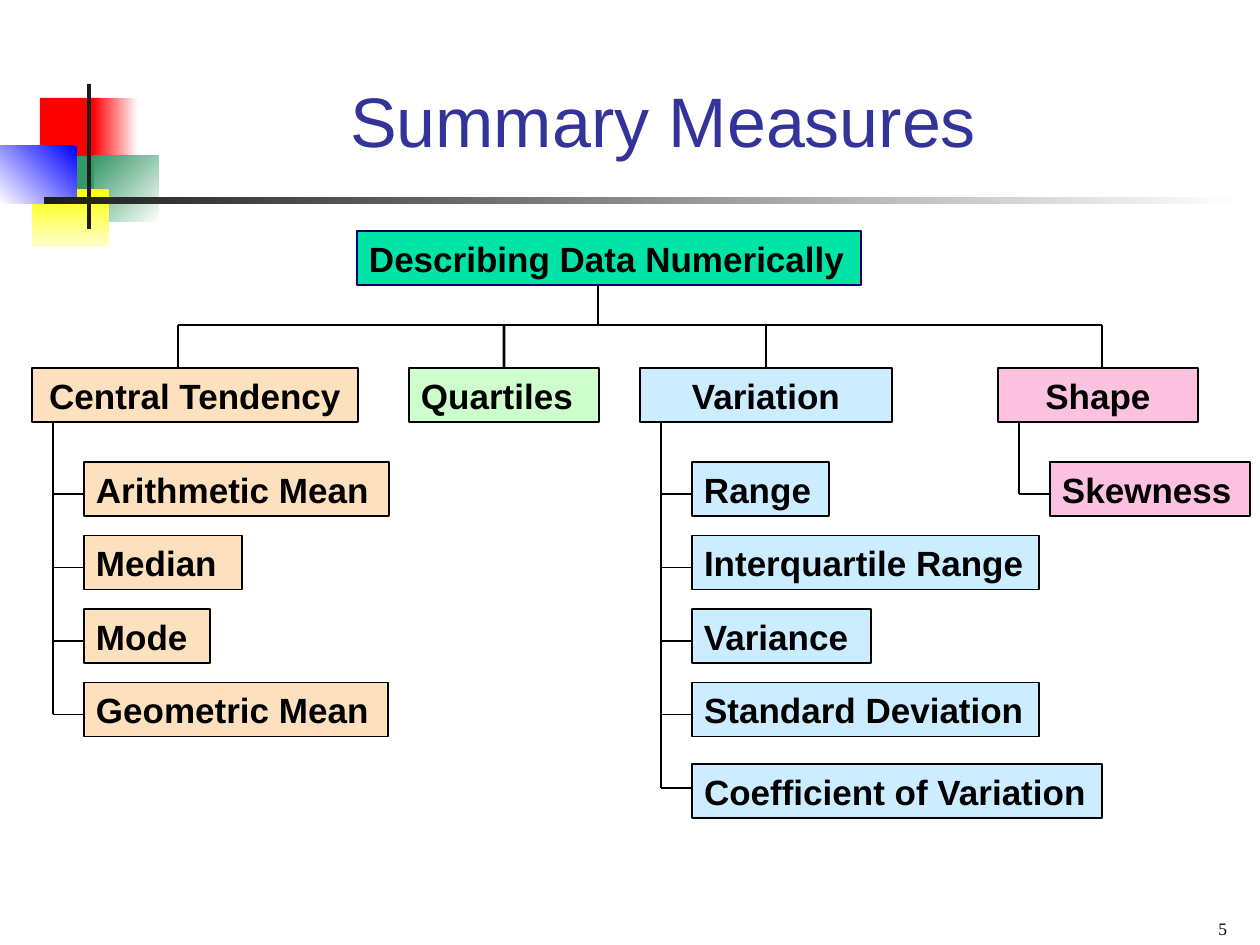
import dataclasses

import pptx
import pptx.dml.color
import pptx.enum.shapes
import pptx.enum.text
import pptx.oxml.ns
import pptx.util
from lxml import etree

ALIGN = pptx.enum.text.PP_ALIGN
ANCHOR = pptx.enum.text.MSO_ANCHOR
TOP_SIDE = 0


def px(length):
    return pptx.util.Emu(round(length * 914400 / 126))


def rgb(code):
    return pptx.dml.color.RGBColor.from_string(code)


@dataclasses.dataclass(frozen=True)
class Theme:
    sans: str = "Arial"
    serif: str = "Times New Roman"
    title_size: int = 40
    box_size: int = 20
    number_size: int = 10
    title: str = "333399"
    ink: str = "000000"
    white: str = "FFFFFF"
    charcoal: str = "1C1C1C"
    red: str = "FF0000"
    green: str = "339966"
    yellow: str = "FFFF00"
    pale_yellow: str = "FFFFCC"
    blue: str = "0000FF"
    root: str = "00E4A8"
    root_edge: str = "000066"
    tendency: str = "FDE0BD"
    quartiles: str = "CCFFCC"
    variation: str = "CCECFF"
    shape: str = "FCC2E0"


class Board:
    def __init__(self, slide, theme):
        self.slide = slide
        self.theme = theme

    def set_text(self, frame, text, size, color, font, align, anchor, bold=False):
        frame.word_wrap = True
        frame.auto_size = pptx.enum.text.MSO_AUTO_SIZE.NONE
        frame.vertical_anchor = anchor
        frame.margin_left = frame.margin_right = px(12)
        frame.margin_top = frame.margin_bottom = px(6)
        paragraph = frame.paragraphs[0]
        paragraph.text = text
        paragraph.alignment = align
        paragraph.font.size = pptx.util.Pt(size)
        paragraph.font.name = font
        paragraph.font.bold = bold
        paragraph.font.color.rgb = rgb(color)
        return paragraph

    def title(self, text, *place):
        holder = self.slide.shapes.title
        holder.left, holder.top, holder.width, holder.height = map(px, place)
        paragraph = self.set_text(holder.text_frame, text, self.theme.title_size,
                                  self.theme.title, self.theme.sans, ALIGN.CENTER,
                                  ANCHOR.BOTTOM)
        paragraph.line_spacing = 1.1

    def rectangle(self, *place):
        block = self.slide.shapes.add_shape(
            pptx.enum.shapes.MSO_SHAPE.RECTANGLE, *map(px, place))
        block.shadow.inherit = False
        return block

    def solid(self, color, *place):
        block = self.rectangle(*place)
        block.fill.solid()
        block.fill.fore_color.rgb = rgb(color)
        block.line.fill.background()
        return block

    def fade(self, start, end, angle, *place):
        """Gradient block; the angle runs counter-clockwise from left to right."""
        block = self.rectangle(*place)
        block.fill.gradient()
        block.fill.gradient_angle = angle
        for stop, color in zip(block.fill.gradient_stops, (start, end)):
            stop.color.rgb = rgb(color)
        block.line.fill.background()

    def box(self, text, fill, *place, edge=None, align=ALIGN.LEFT):
        block = self.solid(fill, *place)
        block.line.color.rgb = rgb(edge or self.theme.ink)
        block.line.width = pptx.util.Pt(1)
        self.set_text(block.text_frame, text, self.theme.box_size, self.theme.ink,
                      self.theme.sans, align, ANCHOR.TOP, bold=True)
        return block

    def line(self, x1, y1, x2, y2, weight):
        link = self.slide.shapes.add_connector(
            pptx.enum.shapes.MSO_CONNECTOR.STRAIGHT, px(x1), px(y1), px(x2), px(y2))
        link.line.color.rgb = rgb(self.theme.ink)
        link.line.width = pptx.util.Pt(weight)
        etree.SubElement(link._element.spPr, pptx.oxml.ns.qn("a:effectLst"))
        return link

    def page_number(self, text, *place):
        label = self.slide.shapes.add_textbox(*map(px, place))
        self.set_text(label.text_frame, text, self.theme.number_size, self.theme.ink,
                      self.theme.serif, ALIGN.RIGHT, ANCHOR.BOTTOM)


@dataclasses.dataclass
class Branch:
    name: str
    fill: str
    left: int
    width: int
    drop: int  # x of the line coming down to the heading
    measures: tuple = ()  # label and box width
    align: int = ALIGN.CENTER


BOX_HEIGHT = 54
RAIL_Y, HEADING_Y = 325, 368
TRUNK_INDENT, MEASURE_INDENT = 21, 52
FIRST_TWIG, TWIG_PITCH, TWIG_DEPTH = 494, 73.5, 32
THICK, THIN = 1.5, 0.75


def draw_ornament(board):
    t = board.theme
    board.solid(t.red, 40, 98, 60, 66)
    board.fade(t.white, t.red, 180, 93, 98, 45, 66)
    board.fade(t.white, t.green, 135, 94, 156, 65, 66)
    board.solid(t.green, 54, 156, 40, 66)
    board.fade(t.yellow, t.pale_yellow, 270, 32, 189, 77, 58)
    board.fade(t.blue, t.white, 225, 0, 146, 77, 58)
    board.solid(t.charcoal, 87, 84, 4, 145)
    board.fade(t.white, t.charcoal, 180, 44, 197, 1198, 7)


def draw_branch(board, branch):
    # Trunk, twigs and measures
    trunk = branch.left + TRUNK_INDENT
    measure_left = branch.left + MEASURE_INDENT
    twigs = [FIRST_TWIG + row * TWIG_PITCH for row in range(len(branch.measures))]
    if twigs:
        board.line(trunk, HEADING_Y + BOX_HEIGHT, trunk, twigs[-1], THIN)
    for row, (y, (label, width)) in enumerate(zip(twigs, branch.measures)):
        board.line(trunk, y, measure_left, y, THIN)
        depth = TWIG_DEPTH if row < 4 else 24  # the fifth box sits a little lower
        board.box(label, branch.fill, measure_left, y - depth, width, BOX_HEIGHT)

    # Heading and its line from the rail
    heading = board.box(branch.name, branch.fill, branch.left, HEADING_Y,
                        branch.width, BOX_HEIGHT, align=branch.align)
    drop = board.line(branch.drop, RAIL_Y, branch.drop, HEADING_Y, THICK)
    if branch.drop == branch.left + branch.width / 2:
        drop.end_connect(heading, TOP_SIDE)


def main():
    deck = pptx.Presentation()
    deck.slide_width, deck.slide_height = px(1260), px(945)
    theme = Theme()
    board = Board(deck.slides.add_slide(deck.slide_layouts[5]), theme)

    draw_ornament(board)
    board.title("Summary Measures", 126, 32, 1074, 136)

    # Root and rail
    branches = [
        Branch("Central Tendency", theme.tendency, 32, 326, 178,
               (("Arithmetic Mean", 305), ("Median", 158), ("Mode", 126),
                ("Geometric Mean", 304))),
        Branch("Quartiles", theme.quartiles, 409, 190, 504, align=ALIGN.LEFT),
        Branch("Variation", theme.variation, 640, 252, 766,
               (("Range", 137), ("Interquartile Range", 347), ("Variance", 179),
                ("Standard Deviation", 347), ("Coefficient of Variation", 410))),
        Branch("Shape", theme.shape, 998, 200, 1102, (("Skewness", 200),)),
    ]
    board.box("Describing Data Numerically", theme.root, 357, 231, 504, BOX_HEIGHT,
              edge=theme.root_edge)
    board.line(598, 231 + BOX_HEIGHT, 598, RAIL_Y, THICK)
    board.line(branches[0].drop, RAIL_Y, branches[-1].drop, RAIL_Y, THICK)

    for branch in branches:
        draw_branch(board, branch)

    board.page_number("5", 945, 901, 294, 44)
    deck.save("out.pptx")


if __name__ == "__main__":
    main()
